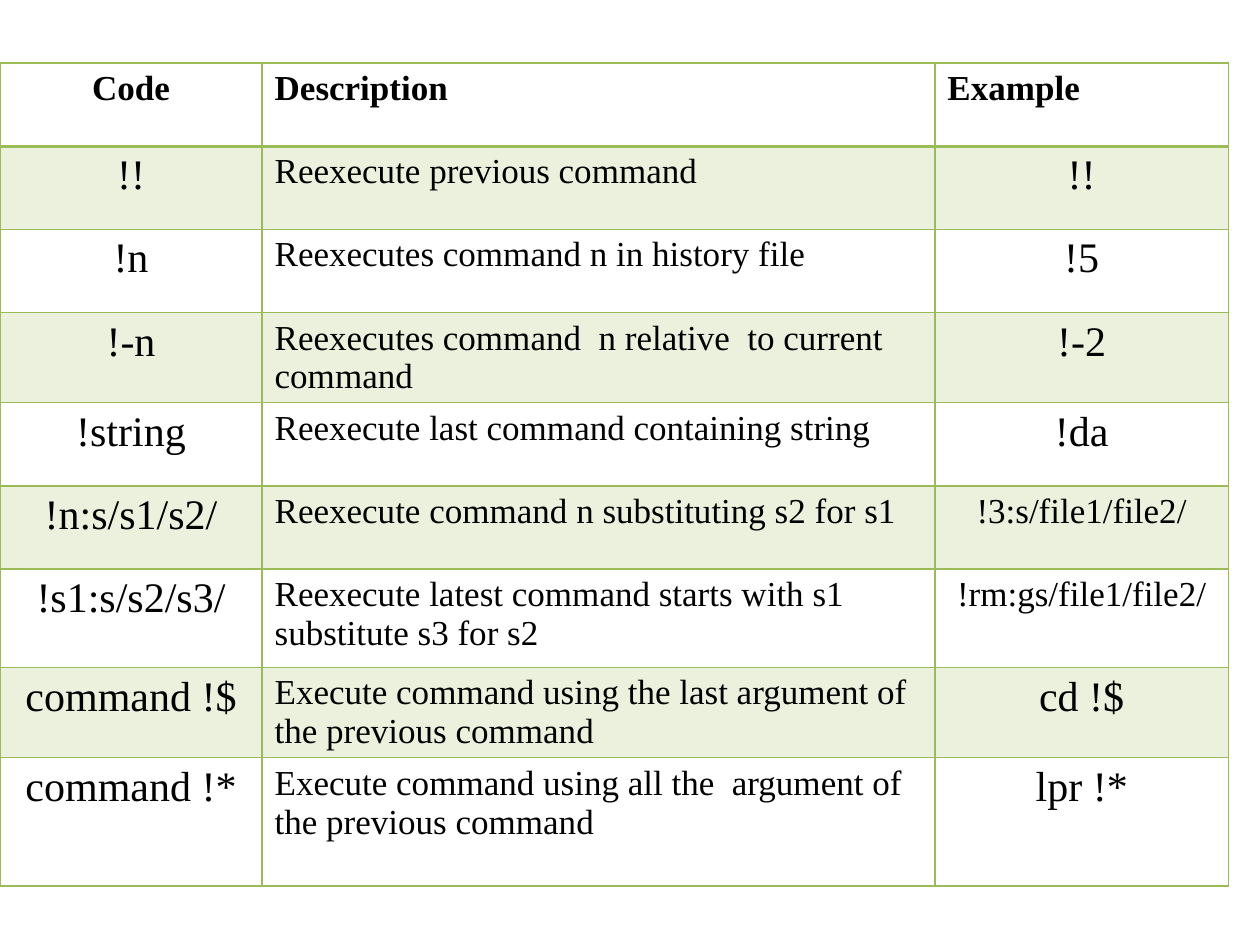
from dataclasses import dataclass

from lxml import etree
from pptx import Presentation
from pptx import util as u
from pptx.dml.color import RGBColor
from pptx.enum import text
from pptx.oxml import ns
from pptx.table import _Cell

GREEN = RGBColor(0x9B, 0xBB, 0x59)
BLACK = RGBColor(0, 0, 0)
FONT = "Times New Roman"
COLUMN_WIDTHS = (2.08, 5.34, 2.33)
BAND_ALPHA = 20  # percent opacity


@dataclass(frozen=True)
class Command:
    code: str
    description: str
    example: str
    height: float = 0.66
    example_size: int = 24


COMMANDS = (
    Command("!!", "Reexecute previous command", "!!"),
    Command("!n", "Reexecutes command n in history file", "!5"),
    Command("!-n", "Reexecutes command  n relative  to current command", "!-2", 0.71),
    Command("!string", "Reexecute last command containing string", "!da"),
    Command("!n:s/s1/s2/", "Reexecute command n substituting s2 for s1",
            "!3:s/file1/file2/", example_size=20),
    Command("!s1:s/s2/s3/", "Reexecute latest command starts with s1 substitute s3 for s2",
            "!rm:gs/file1/file2/", 0.78, 20),
    Command("command !$", "Execute command using the last argument of the previous command",
            "cd !$", 0.71),
    Command("command !*", "Execute command using all the  argument of the previous command",
            "lpr !*", 1.02),
)


def add_border(cell: _Cell, side: str, points: float) -> None:
    properties = cell._tc.get_or_add_tcPr()
    line = etree.SubElement(properties, ns.qn(f"a:ln{side}"), w=str(u.Pt(points)))
    fill = etree.SubElement(line, ns.qn("a:solidFill"))
    etree.SubElement(fill, ns.qn("a:srgbClr"), val=str(GREEN))


def fill_cell(cell: _Cell, banded: bool) -> None:
    if not banded:
        cell.fill.background()
        return
    cell.fill.solid()
    cell.fill.fore_color.rgb = GREEN
    color = cell._tc.tcPr.find(f"{ns.qn('a:solidFill')}/{ns.qn('a:srgbClr')}")
    etree.SubElement(color, ns.qn("a:alpha"), val=str(BAND_ALPHA * 1000))


def write_cell(cell: _Cell, wording: str, size: int, centered: bool, bold: bool) -> None:
    cell.text_frame.text = wording
    para = cell.text_frame.paragraphs[0]
    para.alignment = text.PP_ALIGN.CENTER if centered else text.PP_ALIGN.LEFT
    font = para.runs[0].font
    font.name, font.size, font.bold = FONT, u.Pt(size), bold
    font.color.rgb = BLACK


deck = Presentation()
deck.slide_width, deck.slide_height = u.Inches(10), u.Inches(7.5)
page = deck.slides.add_slide(deck.slide_layouts[6])

# Table frame
rows = (Command("Code", "Description", "Example", example_size=20), *COMMANDS)
frame = page.shapes.add_table(
    len(rows), len(COLUMN_WIDTHS), u.Inches(0), u.Inches(0.5),
    u.Inches(sum(COLUMN_WIDTHS)), u.Inches(sum(row.height for row in rows)))
table = frame.table
table.first_row = table.horz_banding = False
for column, width in zip(table.columns, COLUMN_WIDTHS):
    column.width = u.Inches(width)

# Header and commands
for index, row in enumerate(rows):
    table.rows[index].height = u.Inches(row.height)
    header = index == 0
    entries = (
        (row.code, 20 if header else 24, True),
        (row.description, 20, False),
        (row.example, row.example_size, not header),
    )
    for position, (wording, size, centered) in enumerate(entries):
        cell = table.cell(index, position)
        write_cell(cell, wording, size, centered, header)
        for side in "LRTB":
            heavy = (header and side == "B") or (index == 1 and side == "T")
            add_border(cell, side, 2 if heavy else 1)
        fill_cell(cell, index % 2 == 1)

deck.save("out.pptx")
